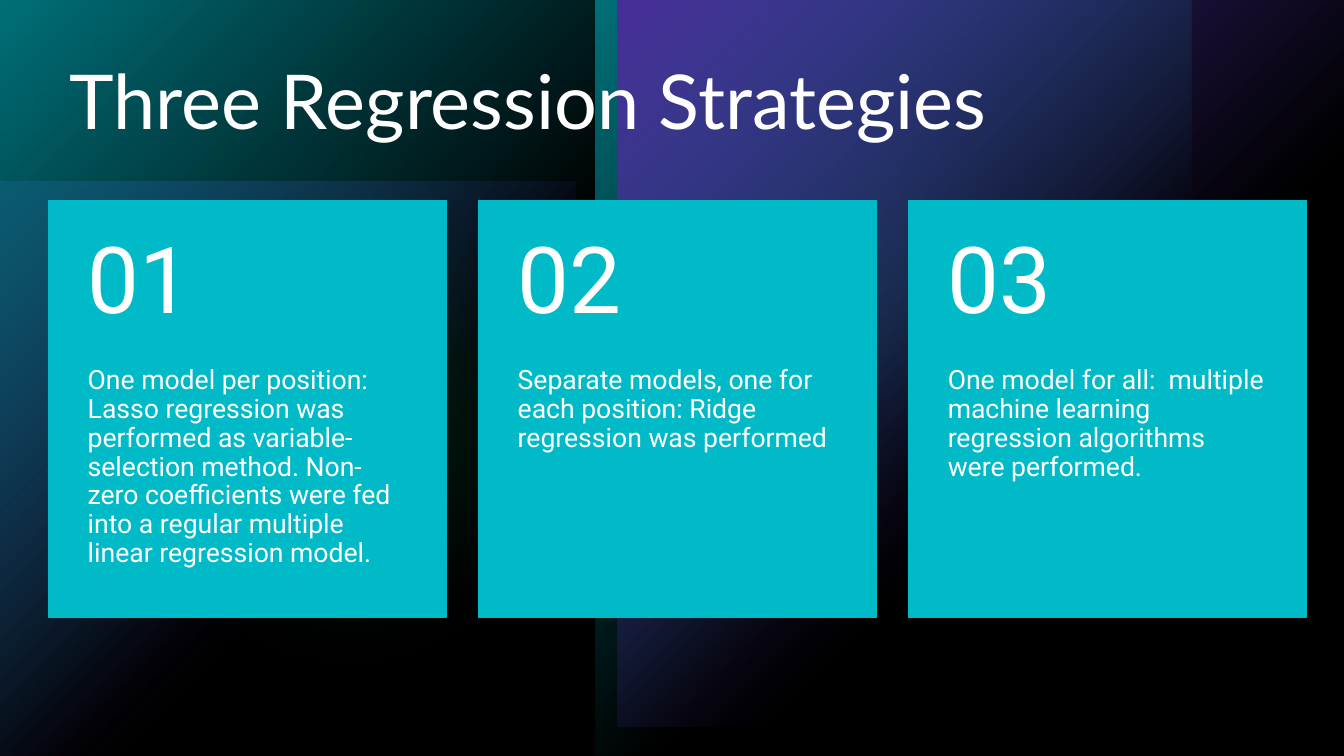
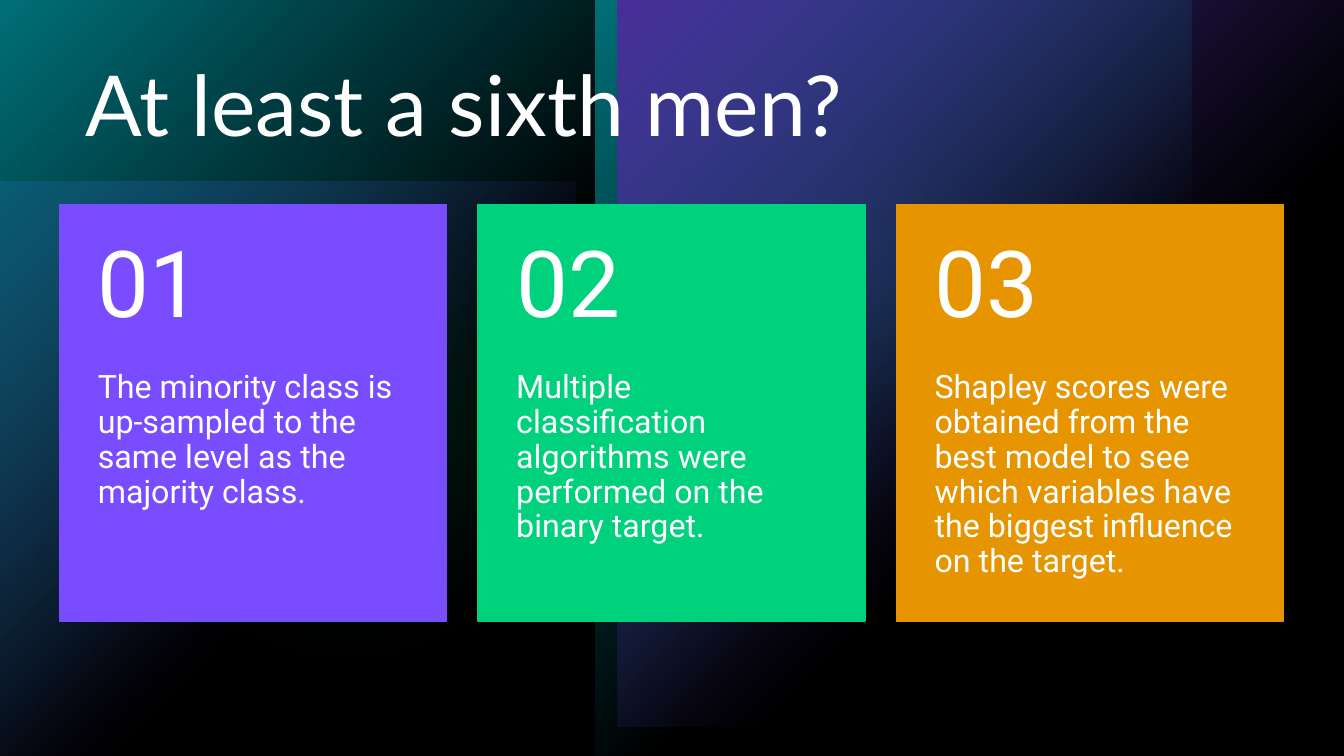
from lxml import etree
from pptx import Presentation
from pptx import util as u
from pptx.dml import color as dml
from pptx.enum import shapes, text
from pptx.oxml import ns

COLORS = {
    "black": "000000",
    "white": "FFFFFF",
    "teal": "00BAC8",
    "violet": "794DFF",
    "green": "00D17D",
    "orange": "E69500",
}
RECTANGLE = shapes.MSO_SHAPE.RECTANGLE
OVAL = shapes.MSO_SHAPE.OVAL
SLIDE_WIDTH, SLIDE_HEIGHT = 13.33, 7.5
SOFT_EDGE = u.Inches(1.39)
NUMBER_HEIGHT, BODY_HEIGHT = 1.65, 2.48

SLIDES = [
    {
        "title": "Three Regression Strategies",
        "title_left": 0.59,
        "title_size": 54,
        "first_left": 0.48,
        "last_left": 9.01,
        "top": 1.99,
        "width": 3.95,
        "inset": 0.39,
        "body_size": 19,
        "cards": [
            ("teal", "One model per position: Lasso regression was performed as "
                     "variable-selection method. Non-zero coefficients were fed "
                     "into a regular multiple linear regression model."),
            ("teal", "Separate models, one for each position: Ridge regression "
                     "was performed"),
            ("teal", "One model for all:  multiple machine learning regression "
                     "algorithms were performed."),
        ],
    },
    {
        "title": "At least a sixth men?",
        "title_left": 0.75,
        "title_size": 60,
        "first_left": 0.59,
        "last_left": 8.89,
        "top": 2.03,
        "width": 3.84,
        "inset": 0.38,
        "body_size": 23,
        "cards": [
            ("violet", "The minority class is up-sampled to the same level as the "
                       "majority class."),
            ("green", "Multiple classification algorithms were performed on the "
                      "binary target."),
            ("orange", "Shapley scores were obtained from the best model to see "
                       "which variables have the biggest influence on the target."),
        ],
    },
]


def rgb(name):
    return dml.RGBColor.from_string(COLORS[name])


def apply_formats(target, formats):
    for name, value in formats.items():
        setattr(target, name, value)


def inches(*lengths):
    return [u.Inches(length) for length in lengths]


def add_panel(page, kind, bounds):
    panel = page.shapes.add_shape(kind, *inches(*bounds))
    panel.shadow.inherit = False
    panel.line.fill.background()
    return panel


def set_opacities(panel, opacities):
    colors = panel.element.spPr.iter(ns.qn("a:srgbClr"))
    for color, opacity in zip(colors, opacities):
        etree.SubElement(color, ns.qn("a:alpha"), val=str(opacity * 1000))


def add_glow(page, bounds, color, opacity):
    panel = add_panel(page, RECTANGLE, bounds)
    panel.fill.gradient()
    panel.fill.gradient_angle = 315
    for stop, position in zip(panel.fill.gradient_stops, (0, 0.6)):
        stop.color.rgb = rgb(color)
        stop.position = position
    set_opacities(panel, (opacity, 0))


def add_tint(page, kind, bounds, color, opacity):
    panel = add_panel(page, kind, bounds)
    panel.fill.solid()
    panel.fill.fore_color.rgb = rgb(color)
    set_opacities(panel, (opacity,))
    return panel


def add_haze(page, bounds, opacity):
    haze = add_tint(page, OVAL, bounds, "green", opacity)
    effects = haze.element.spPr.find(ns.qn("a:effectLst"))
    etree.SubElement(effects, ns.qn("a:softEdge"), rad=str(SOFT_EDGE))


def build_backdrop(page):
    layout = page.slide_layout
    layout.background.fill.solid()
    layout.background.fill.fore_color.rgb = rgb("black")
    for holder in list(layout.placeholders):
        holder.element.getparent().remove(holder.element)
    add_glow(page, (0, 1.8, 5.71, 5.71), "violet", 60)
    add_haze(page, (6.29, 0.43, 4.72, 4.72), 60)
    add_haze(page, (0, 0.56, 6.94, 6.94), 20)
    for left in (0, 5.91):
        add_glow(page, (left, 0, 5.91, SLIDE_HEIGHT), "teal", 100)
    add_glow(page, (6.13, 0, 7.21, 7.21), "violet", 100)
    add_tint(page, RECTANGLE, (0, 0, SLIDE_WIDTH, SLIDE_HEIGHT), "black", 40)
    for shape in list(page.shapes):
        layout.shapes.element.append(shape.element)


def add_text(page, bounds, content, font, size, margins, anchor="TOP"):
    box = page.shapes.add_textbox(*inches(*bounds))
    sides = ("margin_left", "margin_top", "margin_right", "margin_bottom")
    apply_formats(box.text_frame, {
        "word_wrap": True,
        "vertical_anchor": text.MSO_ANCHOR[anchor],
        **dict(zip(sides, inches(*margins))),
    })
    para = box.text_frame.paragraphs[0]
    para.line_spacing = 0.9
    span = para.add_run()
    span.text = content
    apply_formats(span.font, {"name": font, "size": u.Pt(size)})
    span.font.color.rgb = rgb("white")


def add_card(page, left, number, color, content, style):
    top, width, inset = style["top"], style["width"], style["inset"]
    card = add_panel(page, RECTANGLE,
                     (left, top, width, NUMBER_HEIGHT + BODY_HEIGHT))
    for fill in (card.fill, card.line.fill):
        fill.solid()
        fill.fore_color.rgb = rgb(color)
    card.line.width = u.Pt(1)
    add_text(page, (left, top + NUMBER_HEIGHT, width, BODY_HEIGHT), content,
             "Roboto", style["body_size"], (inset, 0, inset, 0.36))
    add_text(page, (left, top, width, NUMBER_HEIGHT), f"{number:02}",
             "Roboto", 66, (inset, 0.18, inset, 0.18), "MIDDLE")


def fill_page(page, style):
    add_text(page, (style["title_left"], 0.59, 11.75, 1.47), style["title"],
             "Lato", style["title_size"], (0.1, 0.05, 0.1, 0.05))
    pitch = (style["last_left"] - style["first_left"]) / (len(style["cards"]) - 1)
    for index, (color, content) in enumerate(style["cards"]):
        left = style["first_left"] + index * pitch
        add_card(page, left, index + 1, color, content, style)


def main():
    deck = Presentation()
    deck.slide_width, deck.slide_height = inches(SLIDE_WIDTH, SLIDE_HEIGHT)
    pages = [deck.slides.add_slide(deck.slide_layouts[6]) for _ in SLIDES]
    build_backdrop(pages[0])
    for page, style in zip(pages, SLIDES):
        fill_page(page, style)
    deck.save("out.pptx")


if __name__ == "__main__":
    main()
